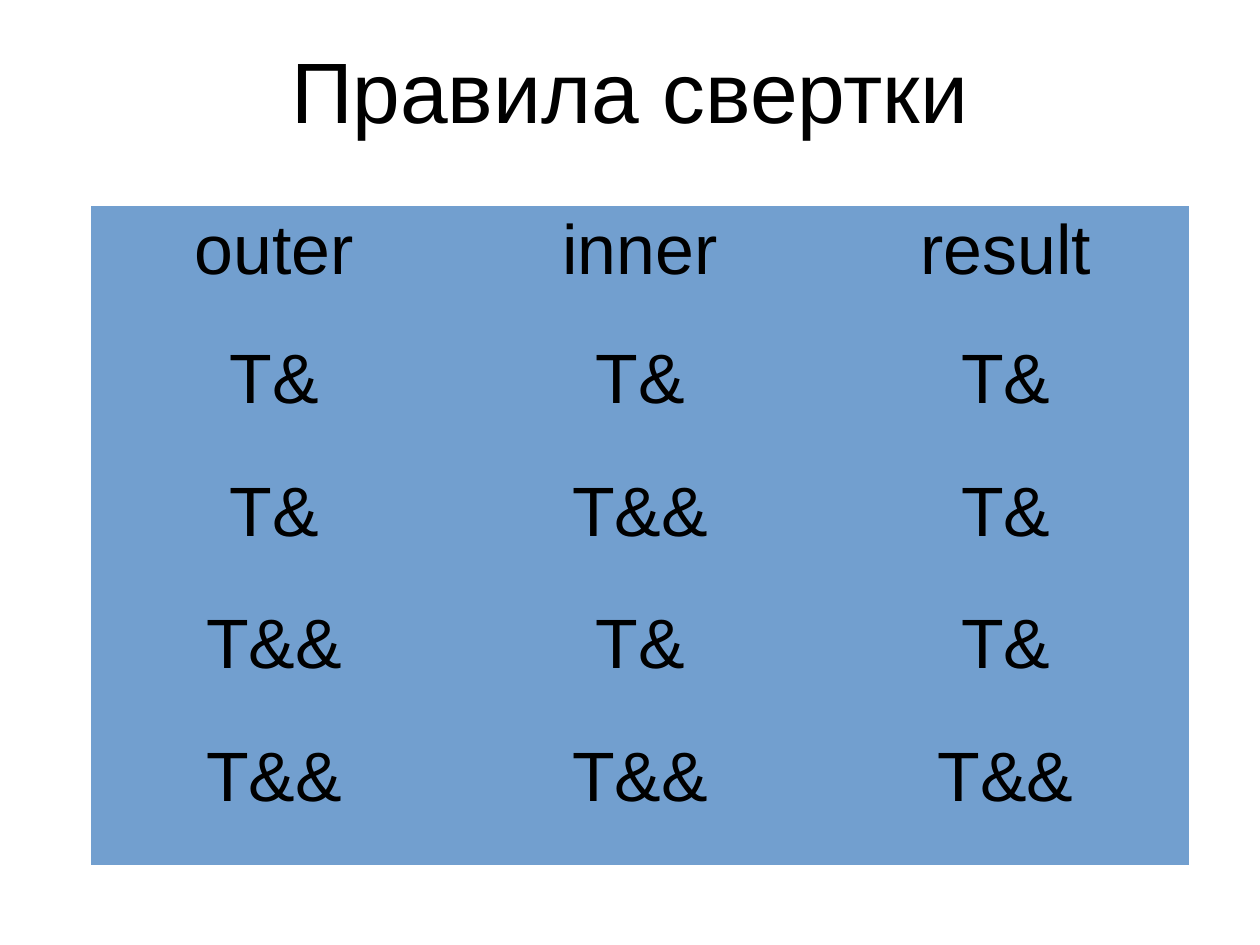
"""Slide with the table of reference collapsing rules."""
from dataclasses import dataclass

from pptx import Presentation
from pptx.dml import color
from pptx.enum import text as et
from pptx.util import Inches, Pt

HUES = {"ink": "000000", "cell": "729FCF"}
PLAIN = "{2D5ABB26-0587-4C30-8999-92F81FD0307C}"
CM = 1 / 2.54


@dataclass
class Rule:
    """One row of the table."""
    outer: str
    inner: str
    result: str
    height: float = 1.16


RULES = [
    Rule("outer", "inner", "result", 1.13),
    Rule("T&", "T&", "T&"),
    Rule("T&", "T&&", "T&"),
    Rule("T&&", "T&", "T&"),
    Rule("T&&", "T&&", "T&&"),
]


def write(frame, words: str, *, size: float, font: str = "Arial", hue: str = "ink") -> None:
    """Put one centred paragraph into a text frame."""
    para = frame.paragraphs[0]
    para.alignment = et.PP_ALIGN.CENTER
    run = para.add_run()
    run.text = words
    run.font.size = Pt(size)
    run.font.name = font
    run.font.color.rgb = color.RGBColor.from_string(HUES[hue])


def head(slide, words: str) -> None:
    """Place and fill the title."""
    title = slide.shapes.title
    title.left, title.top = Inches(0.55), Inches(0.09)
    title.width, title.height = Inches(9.92), Inches(1.38)
    frame = title.text_frame
    frame.margin_left = frame.margin_right = 0
    frame.margin_top = frame.margin_bottom = 0
    frame.vertical_anchor = et.MSO_ANCHOR.MIDDLE
    frame.auto_size = et.MSO_AUTO_SIZE.NONE
    write(frame, words, size=54)


def grid(slide, rules: list[Rule]) -> None:
    """Draw the rules as a plain filled table."""
    tall = sum(rule.height for rule in rules)
    table = slide.shapes.add_table(
        len(rules), 3, Inches(0.8), Inches(1.8), Inches(9.6), Inches(tall)
    ).table
    table.first_row = table.horz_banding = False
    table._tbl.tblPr[0].text = PLAIN
    for row, rule in zip(table.rows, rules):
        row.height = Inches(rule.height)
        for cell, words in zip(row.cells, (rule.outer, rule.inner, rule.result)):
            cell.fill.solid()
            cell.fill.fore_color.rgb = color.RGBColor.from_string(HUES["cell"])
            write(cell.text_frame, words, size=44)


def main() -> None:
    """Build and save the slide."""
    deck = Presentation()
    deck.slide_width, deck.slide_height = Inches(28 * CM), Inches(21 * CM)
    deck.element.sldSz.attrib.pop("type", None)
    slide = deck.slides.add_slide(deck.slide_layouts[5])
    head(slide, "Правила свертки")
    grid(slide, RULES)
    deck.save("out.pptx")


if __name__ == "__main__":
    main()
